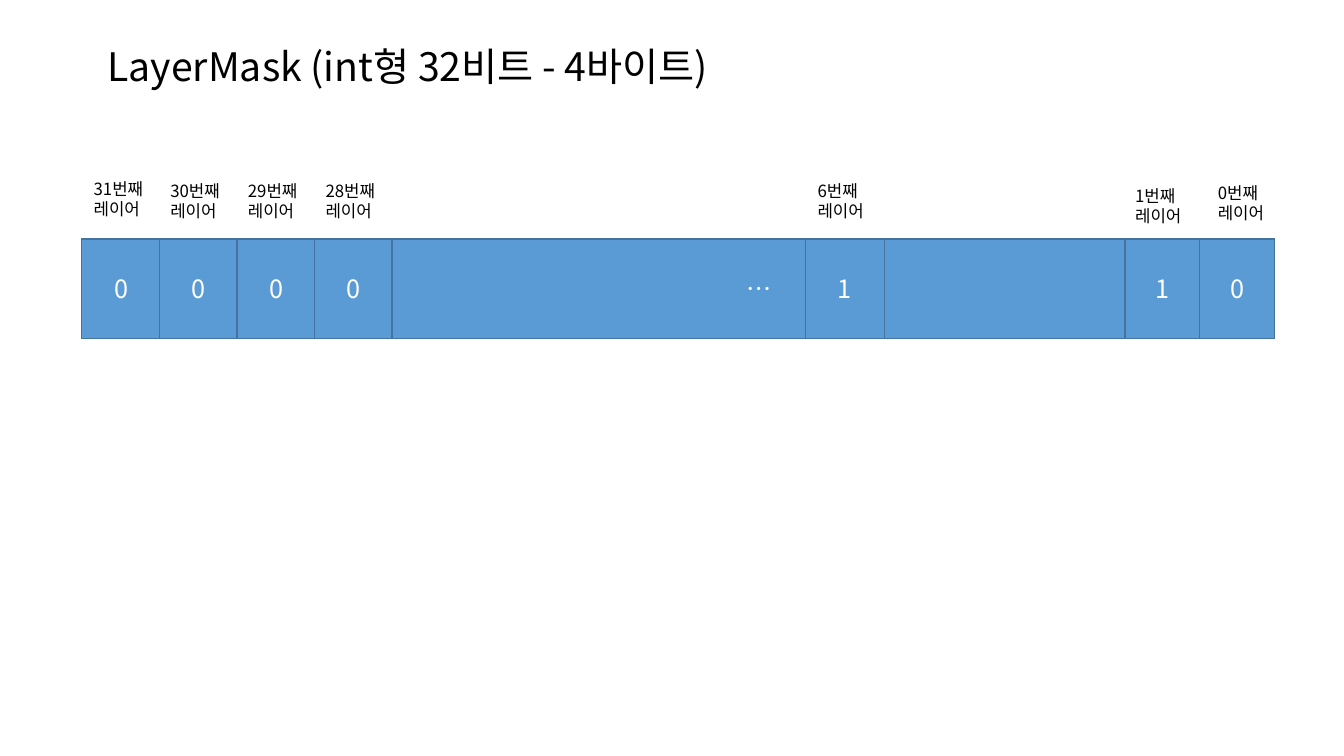
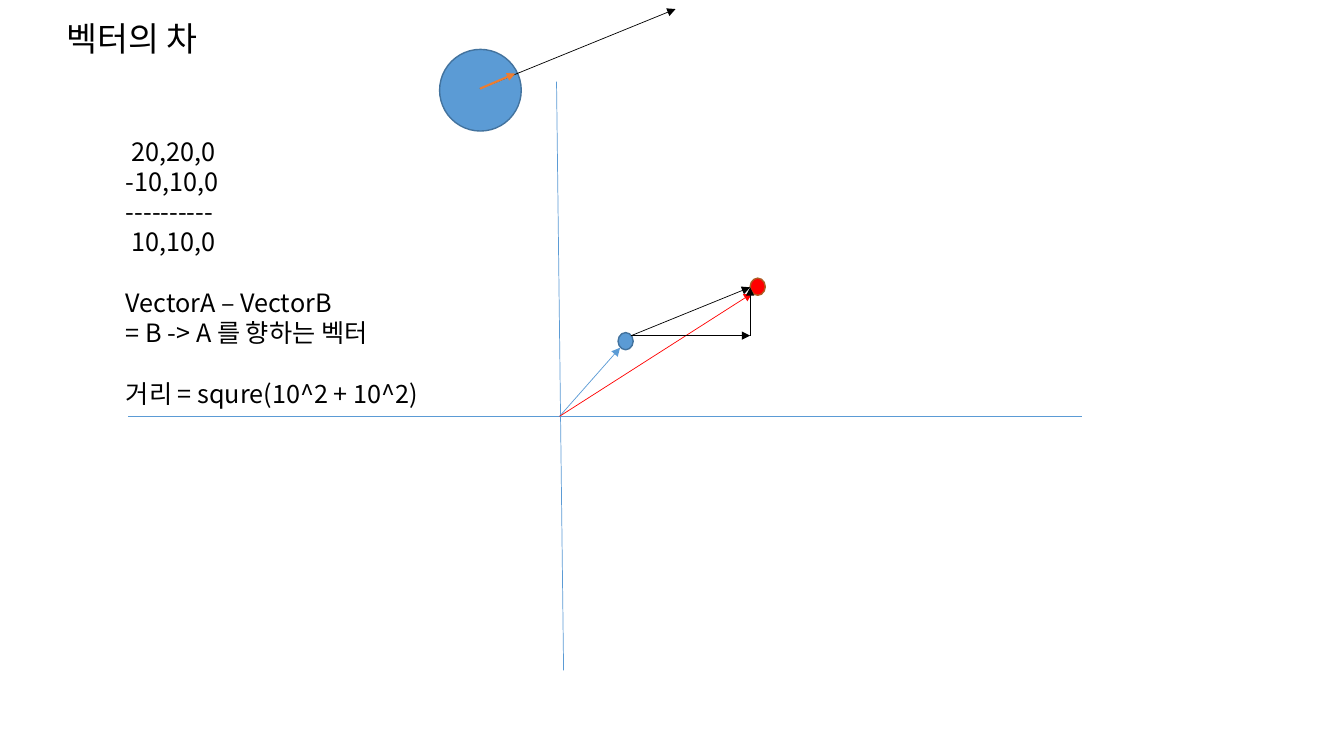
from dataclasses import dataclass
from lxml.etree import SubElement
from pptx import Presentation
from pptx.dml.color import RGBColor
from pptx.enum.shapes import MSO_CONNECTOR, MSO_SHAPE
from pptx.enum.text import MSO_ANCHOR, PP_ALIGN
from pptx.oxml.ns import qn
from pptx.util import Inches, Pt


@dataclass(frozen=True)
class Theme:
    font: str = "Noto Sans CJK KR"
    ink: str = "000000"
    white: str = "FFFFFF"
    blue: str = "5B9BD5"
    blue_edge: str = "43739E"
    red: str = "FF0000"
    red_edge: str = "AF5C24"
    orange: str = "ED7D31"
    body: int = 18
    label: int = 12
    thin: float = 0.5
    edge: float = 1


THEME = Theme()


def rgb(code):
    return RGBColor.from_string(code)


def write(frame, text, size=THEME.body, color=THEME.ink, align=PP_ALIGN.LEFT,
          anchor=MSO_ANCHOR.TOP, spacing=None, block_gap=0):
    """Lines become paragraphs; an empty line opens a new block."""
    frame.word_wrap = True
    frame.vertical_anchor = anchor
    first = True
    for block_no, block in enumerate(text.split("\n\n")):
        for line_no, line in enumerate(block.split("\n")):
            paragraph = frame.paragraphs[0] if first else frame.add_paragraph()
            first = False
            paragraph.alignment = align
            if spacing:
                paragraph.line_spacing = spacing
            if block_no and not line_no:
                paragraph.space_before = Pt(block_gap)
            run = paragraph.add_run()
            run.text = line
            run.font.name = THEME.font
            run.font.size = Pt(size)
            run.font.color.rgb = rgb(color)
            # Korean glyphs use the East Asian typeface
            SubElement(run.font._element, qn("a:ea"), typeface=THEME.font)


class Deck:
    def __init__(self, theme):
        self.theme = theme
        self.show = Presentation()
        self.show.slide_width = Inches(13.33)
        self.show.slide_height = Inches(7.5)
        self.slide = None

    def new_slide(self):
        self.slide = self.show.slides.add_slide(self.show.slide_layouts[6])

    def text(self, text, left, top, width, height, **style):
        box = self.slide.shapes.add_textbox(
            Inches(left), Inches(top), Inches(width), Inches(height))
        write(box.text_frame, text, **style)

    def title(self, text, left, top, height, size):
        self.text(text, left, top, 11.5, height, size=size,
                  anchor=MSO_ANCHOR.MIDDLE, spacing=0.9)

    def shape(self, kind, left, top, width, height, fill=None, edge=None):
        shape = self.slide.shapes.add_shape(
            kind, Inches(left), Inches(top), Inches(width), Inches(height))
        shape.shadow.inherit = False
        shape.fill.solid()
        shape.fill.fore_color.rgb = rgb(fill or self.theme.blue)
        shape.line.color.rgb = rgb(edge or self.theme.blue_edge)
        shape.line.width = Pt(self.theme.edge)
        return shape

    def cell(self, left, width, value=""):
        cell = self.shape(MSO_SHAPE.RECTANGLE, left, 2.37, width, 0.99)
        if value:
            write(cell.text_frame, value, color=self.theme.white,
                  align=PP_ALIGN.CENTER, anchor=MSO_ANCHOR.MIDDLE)

    def line(self, start, end, color, width=THEME.thin, arrow=True):
        line = self.slide.shapes.add_connector(
            MSO_CONNECTOR.STRAIGHT, *(Inches(n) for n in (*start, *end)))
        line.line.color.rgb = rgb(color)
        line.line.width = Pt(width)
        if arrow:
            SubElement(line.line._get_or_add_ln(), qn("a:tailEnd"), type="triangle")
        SubElement(line._element.spPr, qn("a:effectLst"))


deck = Deck(THEME)

# Slide 1: bits of a layer mask
deck.new_slide()
deck.title("LayerMask (int형 32비트 - 4바이트)", 0.97, 0.26, 0.84, size=28)
bits_left, bit_step, bit_width, low_width = 0.81, 0.77, 0.78, 0.74
deck.cell(bits_left, 11.83)
for index in range(4):
    deck.cell(bits_left + index * bit_step, bit_width, "0")
deck.cell(3.89, 7.27, "…")
deck.cell(7.99, bit_width, "1")
for index, value in enumerate("10"):
    deck.cell(11.16 + index * low_width, low_width, value)

# Layer numbers above the bits
layer_labels = [(31, 0.83, 1.72), (30, 1.59, 1.74), (29, 2.36, 1.74),
                (28, 3.13, 1.74), (6, 8.01, 1.74), (1, 11.16, 1.79),
                (0, 11.98, 1.76)]
for layer, left, top in layer_labels:
    deck.text(f"{layer}번째 레이어", left, top, 0.75, 0.5, size=THEME.label)

# Slide 2: difference of two vectors
deck.new_slide()
deck.shape(MSO_SHAPE.OVAL, 4.36, 0.49, 0.81, 0.81)
deck.title("벡터의 차", 0.56, 0, 0.81, size=24)

# Axes
deck.line((1.27, 4.13), (10.73, 4.13), THEME.blue, arrow=False)
deck.line((5.59, 6.65), (5.52, 0.81), THEME.blue, arrow=False)

# Points B and A
deck.shape(MSO_SHAPE.OVAL, 6.13, 3.3, 0.15, 0.17)
deck.shape(MSO_SHAPE.OVAL, 7.44, 2.76, 0.15, 0.17, THEME.red, THEME.red_edge)

# Vectors from the origin, then from B to A
origin, point_b, point_a, corner = (5.55, 4.13), (6.26, 3.33), (7.44, 2.85), (7.44, 3.33)
deck.line(origin, (6.15, 3.45), THEME.blue)
deck.line(origin, (7.46, 2.91), THEME.red)
deck.line(point_b, point_a, THEME.ink)

# Calculation
deck.text(" 20,20,0\n-10,10,0\n----------\n 10,10,0\n\n"
          "VectorA – VectorB\n= B -> A 를 향하는 벡터\n\n"
          "거리 = squre(10^2 + 10^2)",
          1.15, 1.3, 4.08, 2.83, block_gap=21.6)

# Direction and its unit vector in the circle
circle_center = (4.76, 0.88)
deck.line(circle_center, (6.7, 0.09), THEME.ink)
deck.line(circle_center, (5.11, 0.73), THEME.orange, width=1.5)

# Horizontal and vertical parts of B to A
deck.line(point_b, corner, THEME.ink)
deck.line(corner, point_a, THEME.ink)

deck.show.save("out.pptx")
